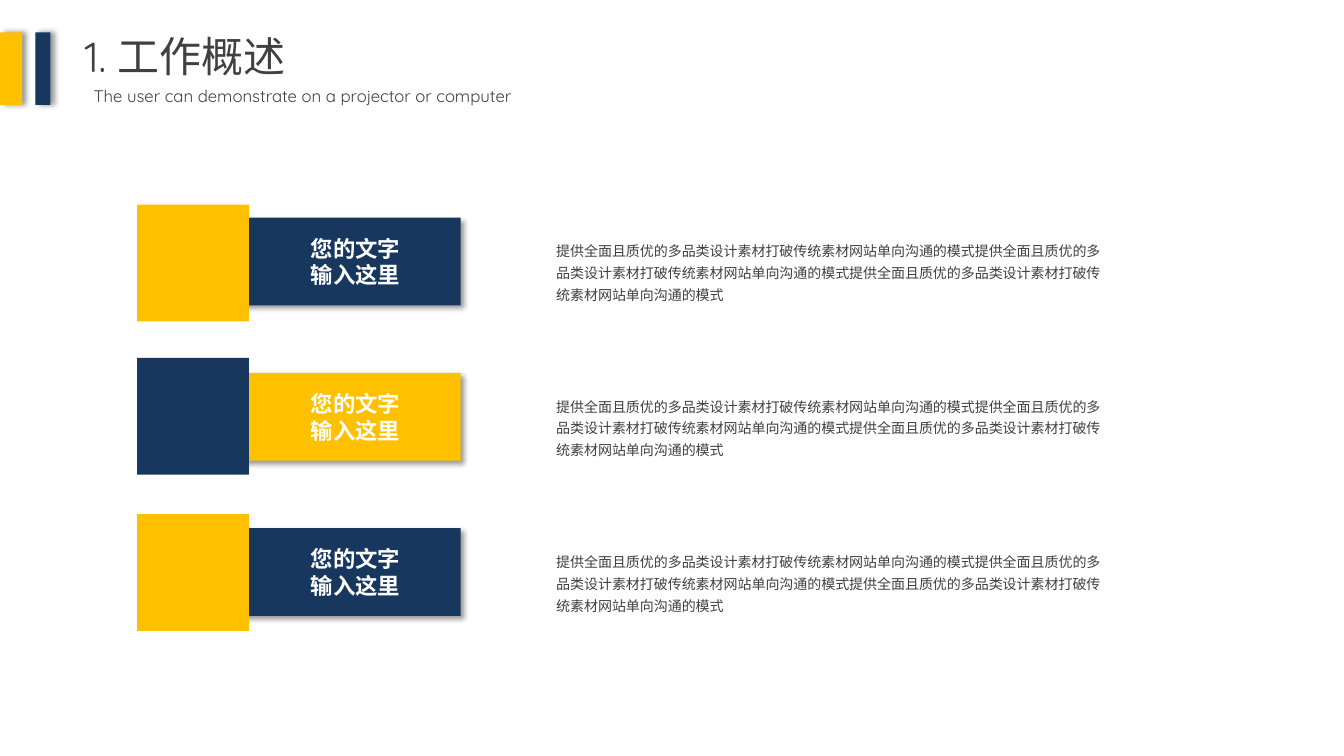
"""Build the work overview slide with three labelled rows."""
from lxml.etree import SubElement
from pptx import Presentation
from pptx.dml.color import RGBColor
from pptx.enum.shapes import MSO_SHAPE
from pptx.enum.text import MSO_AUTO_SIZE, PP_ALIGN
from pptx.oxml.ns import qn
from pptx.util import Inches, Pt

COLORS = {
    "gold": "FFC000",
    "navy": "17375E",
    "text": "404040",
    "white": "FFFFFF",
    "pale": "F2F2F2",
    "shadow": "000000",
}
FONT = "Quicksand"
CELL = 0.1
COLUMNS, ROWS = 133.33, 75
ROW_PITCH = 15.4
BAND_LENGTH, BAND_HEIGHT = 30.9, 8.7
BODY = "提供全面且质优的多品类设计素材打破传统素材网站单向沟通的模式" * 3
ITEMS = [("gold", "navy", 20.3), ("navy", "gold", 35.5), ("gold", "navy", 51)]


def grid(cells):
    return Inches(cells * CELL)


def rgb(name):
    return RGBColor.from_string(COLORS[name])


def write(para, text, size, color="text", bold=False, fade_to=None):
    span = para.add_run()
    span.text = text
    font = span.font
    font.name, font.size, font.bold = FONT, Pt(size), bold
    if fade_to is None:
        font.color.rgb = rgb(color)
        return
    font.fill.gradient()
    font.fill.gradient_angle = 270
    for stop, name in zip(font.fill.gradient_stops, (color, fade_to)):
        stop.color.rgb = rgb(name)


class Page:
    def __init__(self, deck):
        self.shapes = deck.slides.add_slide(deck.slide_layouts[6]).shapes

    def block(self, left, top, width, height, color, kind=MSO_SHAPE.RECTANGLE,
              rotation=0, shadow_angle=None):
        shape = self.shapes.add_shape(kind, *map(grid, (left, top, width, height)))
        shape.rotation = rotation
        shape.shadow.inherit = False
        shape.fill.solid()
        shape.fill.fore_color.rgb = rgb(color)
        shape.line.fill.background()
        if shadow_angle is not None:
            self.cast_shadow(shape, shadow_angle)

    def cast_shadow(self, shape, angle):
        effects = shape.element.spPr.find(qn("a:effectLst"))
        shadow = SubElement(effects, qn("a:outerShdw"), blurRad=str(Pt(4)),
                            dist=str(Pt(3)), dir=str(angle * 60000),
                            algn="ctr", rotWithShape="0")
        color = SubElement(shadow, qn("a:srgbClr"), val=COLORS["shadow"])
        SubElement(color, qn("a:alpha"), val="40000")

    def text(self, left, top, width, height, lines, size, wrap=True,
             align=PP_ALIGN.LEFT, spacing=None, **style):
        box = self.shapes.add_textbox(*map(grid, (left, top, width, height)))
        frame = box.text_frame
        frame.word_wrap = wrap
        frame.auto_size = MSO_AUTO_SIZE.SHAPE_TO_FIT_TEXT
        for index, line in enumerate(lines):
            para = frame.add_paragraph() if index else frame.paragraphs[0]
            para.alignment = align
            para.line_spacing = spacing
            write(para, line, size, **style)

    def header(self, title, subtitle):
        self.text(7.4, 2.5, 23.5, 6.1, [title], 30, wrap=False)
        self.text(8.3, 8, 47.7, 3, [subtitle], 12)
        for left, width, color in ((0, 2.2, "gold"), (3.5, 1.5, "navy")):
            self.block(left, 3.2, width, 7.2, color, shadow_angle=0)

    def item(self, index, tile_color, band_color, tile_top):
        shift = index * ROW_PITCH
        self.text(54.2, 23.1 + shift, 56.3, 7.6, [BODY], 10, spacing=1.3)
        self.block(25.9, 10.5 + shift, BAND_HEIGHT, BAND_LENGTH, band_color,
                   MSO_SHAPE.FLOWCHART_MANUAL_INPUT, 270, 45)
        self.text(28.1, 22.8 + shift, 12.6, 6.4, ["您的文字", "输入这里"], 16,
                  align=PP_ALIGN.RIGHT, color="white", bold=True, fade_to="pale")
        self.block(13.6, tile_top, 11.1, 11.6, tile_color)


def main():
    deck = Presentation()
    deck.slide_width, deck.slide_height = grid(COLUMNS), grid(ROWS)
    page = Page(deck)
    page.header("1. 工作概述", "The user can demonstrate on a projector or computer")
    for index, item in enumerate(ITEMS):
        page.item(index, *item)
    deck.save("out.pptx")


if __name__ == "__main__":
    main()
